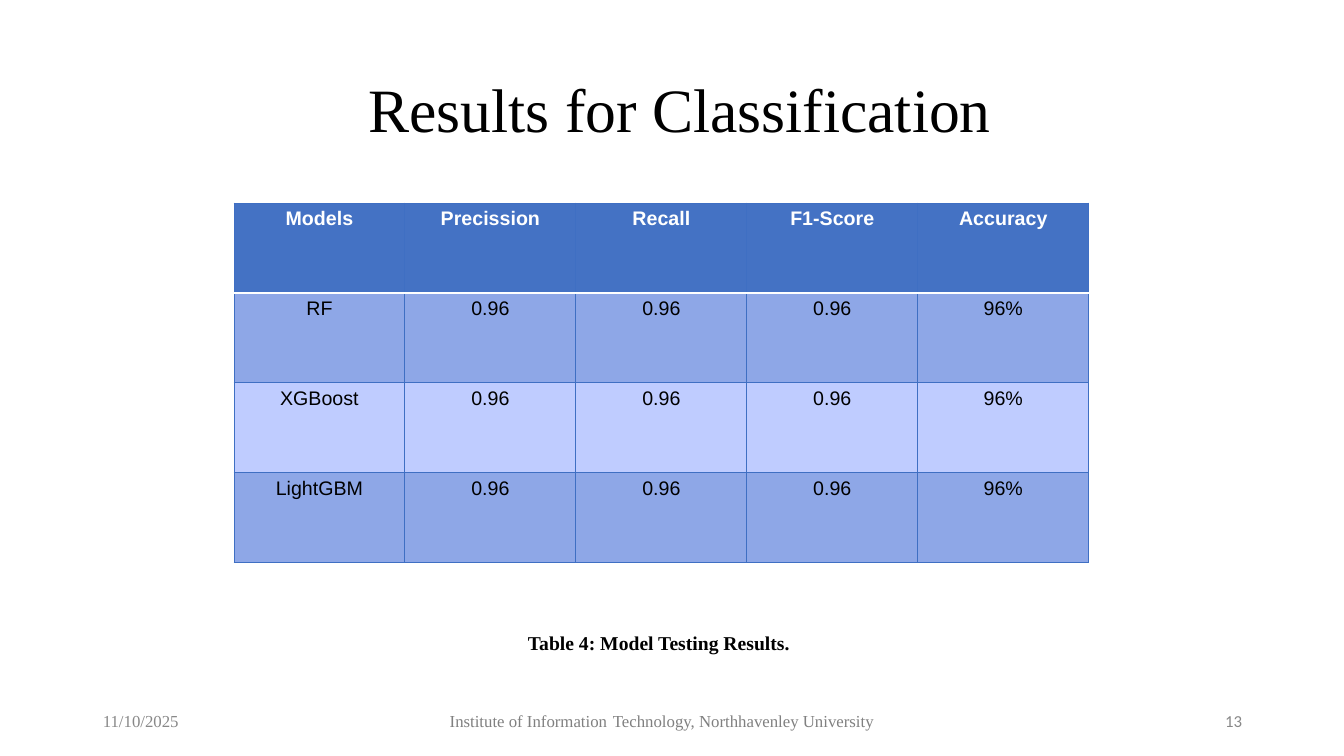
from dataclasses import dataclass

from lxml import etree
from pptx import Presentation
from pptx.dml.color import RGBColor
from pptx.enum.text import MSO_ANCHOR, PP_ALIGN
from pptx.oxml.ns import qn
from pptx.util import Emu, Pt

LEFT, MID, RIGHT = PP_ALIGN.LEFT, PP_ALIGN.CENTER, PP_ALIGN.RIGHT
TOP, CENTRE = MSO_ANCHOR.TOP, MSO_ANCHOR.MIDDLE


@dataclass(frozen=True)
class Theme:
    serif: str = "Times New Roman"
    sans: str = "Arial"
    plain: str = "Calibri"
    black: str = "000000"
    white: str = "FFFFFF"
    grey: str = "888888"
    foot: str = "808080"
    head: str = "4472C4"
    dark: str = "8EA7E7"
    light: str = "BFCCFF"
    rule: str = "3F6FC3"
    title: int = 44
    body: int = 14
    small: int = 12


T = Theme()

# Each run: text, font, size, colour, bold
TITLE = [(" Results for Classification", T.serif, T.title, T.black, False)]
NOTE = [("Table 4: Model Testing Results.", T.serif, T.body, T.black, True)]
DATE = [("11/10/2025", T.serif, T.small, T.grey, False)]
PAGE = [("13", T.plain, T.small, T.grey, False)]
FOOT = [
    ("Institute of Information", T.serif, T.small, T.foot, False),
    (" ", T.sans, T.body, T.foot, False),
    ("Technology, Northhavenley University", T.serif, T.small, T.foot, False),
]

# Each box: runs, (left, top, width, height), align, anchor, wrap, line spacing
BOXES = [
    (TITLE, (93, 40, 1159, 146), MID, CENTRE, True, 0.9),
    (PAGE, (950, 701, 302, 40), RIGHT, CENTRE, True, 1.0),
    (FOOT, (234, 703, 856, 57), MID, TOP, True, 1.0),
    (NOTE, (518, 626, 288, 34), LEFT, TOP, False, 1.0),
    (DATE, (93, 701, 302, 40), LEFT, CENTRE, True, 1.0),
]

SCORES = [
    ("Models", "Precission", "Recall", "F1-Score", "Accuracy"),
    ("RF", "0.96", "0.96", "0.96", "96%"),
    ("XGBoost", "0.96", "0.96", "0.96", "96%"),
    ("LightGBM", "0.96", "0.96", "0.96", "96%"),
]
GRID_X, GRID_Y, COL_W, ROW_H = 234, 203, 171, 90

WIDE, HIGH = 1344, 756
SCALE = 914400 / 100.8


def px(n):
    return Emu(round(n * SCALE))


def add_runs(par, runs, align):
    par.alignment = align
    for text, face, size, tint, bold in runs:
        run = par.add_run()
        run.text = text
        font = run.font
        font.name, font.size, font.bold = face, Pt(size), bold
        font.color.rgb = RGBColor.from_string(tint)


def add_box(slide, runs, rect, align, anchor, wrap, gap):
    frame = slide.shapes.add_textbox(*map(px, rect)).text_frame
    frame.word_wrap = wrap
    frame.vertical_anchor = anchor
    par = frame.paragraphs[0]
    par.line_spacing = gap
    add_runs(par, runs, align)


def add_edge(cell, side, tint, width):
    props = cell._tc.get_or_add_tcPr()
    line = etree.SubElement(props, qn(f"a:ln{side}"), w=str(Pt(width)))
    fill = etree.SubElement(line, qn("a:solidFill"))
    etree.SubElement(fill, qn("a:srgbClr"), val=tint)


def add_scores(slide):
    rows, cols = len(SCORES), len(SCORES[0])
    rect = GRID_X, GRID_Y, cols * COL_W, rows * ROW_H
    table = slide.shapes.add_table(rows, cols, *map(px, rect)).table
    for col in table.columns:
        col.width = px(COL_W)
    for r, row in enumerate(SCORES):
        table.rows[r].height = px(ROW_H)
        head = r == 0
        back = T.head if head else T.dark if r % 2 else T.light
        ink = T.white if head else T.black
        thin, thick = (T.rule, 0.75), (T.white, 2)
        edges = {
            "L": thin,
            "R": thin,
            "T": thick if r == 1 else thin,
            "B": thick if head else thin,
        }
        for c, text in enumerate(row):
            cell = table.cell(r, c)
            for side, (tint, width) in edges.items():
                add_edge(cell, side, tint, width)
            cell.fill.solid()
            cell.fill.fore_color.rgb = RGBColor.from_string(back)
            par = cell.text_frame.paragraphs[0]
            add_runs(par, [(text, T.sans, T.body, ink, head)], MID)


def main():
    deck = Presentation()
    deck.slide_width, deck.slide_height = px(WIDE), px(HIGH)
    slide = deck.slides.add_slide(deck.slide_layouts[6])
    add_scores(slide)
    for box in BOXES:
        add_box(slide, *box)
    deck.save("out.pptx")


if __name__ == "__main__":
    main()
